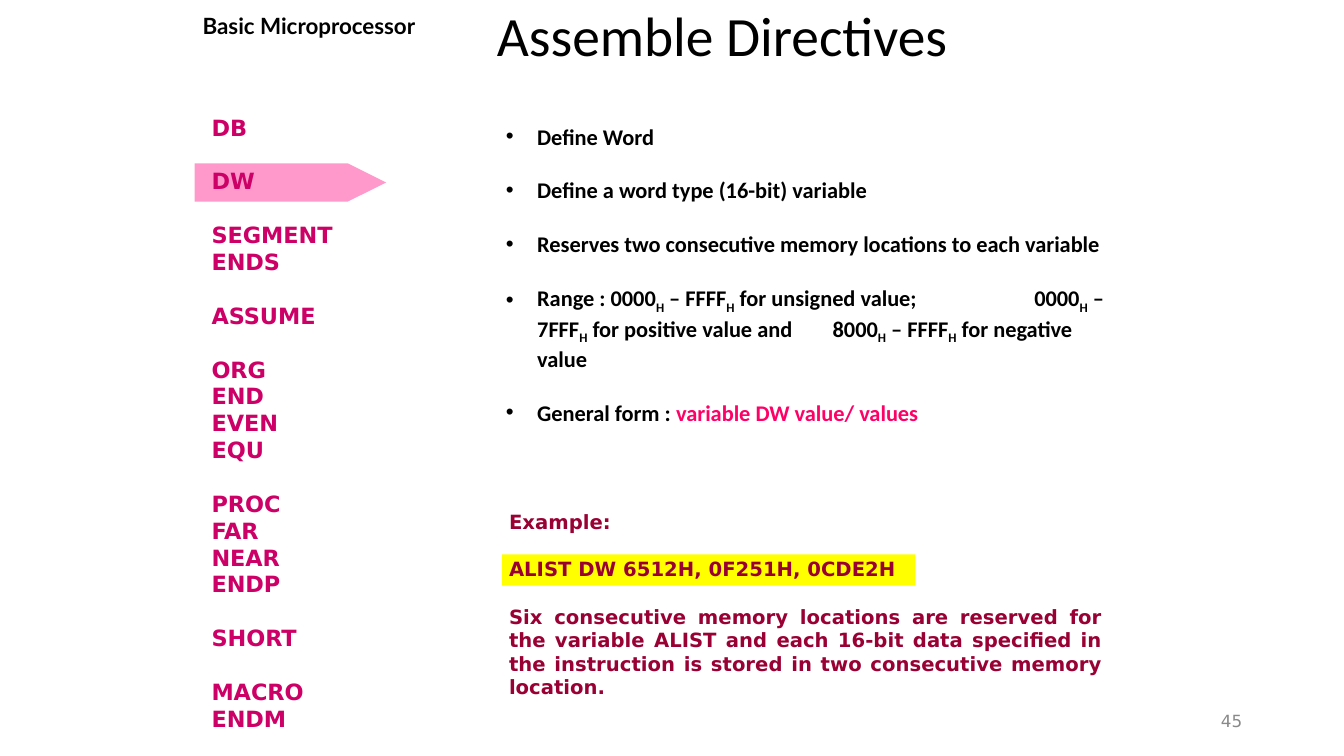
from dataclasses import dataclass

from lxml import etree
from pptx import Presentation
from pptx.dml.color import RGBColor
from pptx.enum.shapes import MSO_SHAPE
from pptx.enum.text import MSO_ANCHOR, PP_ALIGN
from pptx.oxml.ns import qn
from pptx.util import Pt

RECTANGLE = MSO_SHAPE.RECTANGLE
POINTER = MSO_SHAPE.FLOWCHART_OFFPAGE_CONNECTOR
TOP, MIDDLE = MSO_ANCHOR.TOP, MSO_ANCHOR.MIDDLE
LEFT, CENTER, RIGHT, JUSTIFY = PP_ALIGN.LEFT, PP_ALIGN.CENTER, PP_ALIGN.RIGHT, PP_ALIGN.JUSTIFY

EMU_PER_PX = 9144  # 100 px to the inch
HANGING_INDENT = 31
RANGE_TABS = (524, 324)
COLORS = {
    "black": "000000", "grey": "898989", "yellow": "FFFF00", "pink": "FF99CC",
    "hot_pink": "FF0066", "magenta": "CC0066", "maroon": "990033",
}


@dataclass(frozen=True)
class Box:
    left: int
    top: int
    width: int
    height: int


@dataclass(frozen=True)
class Marker:
    preset: MSO_SHAPE
    box: Box
    color: str
    rotation: int = 0


@dataclass(frozen=True)
class Run:
    text: str
    color: str | None = None
    subscript: bool = False


@dataclass(frozen=True)
class Line:
    runs: tuple[Run, ...]
    gap: float = 0
    tabs: tuple[int, ...] = ()


@dataclass(frozen=True)
class TextBlock:
    box: Box
    lines: tuple[Line, ...]
    font: str
    size: float
    color: str
    bold: bool = True
    align: PP_ALIGN = LEFT
    anchor: MSO_ANCHOR = TOP
    bulleted: bool = False
    line_spacing: float | None = None


def px(length: int) -> int:
    return length * EMU_PER_PX


def place(box: Box) -> tuple[int, ...]:
    return tuple(px(length) for length in (box.left, box.top, box.width, box.height))


def plain(text: str, gap: float = 0) -> Line:
    return Line((Run(text),), gap)


def spaced(texts: tuple[str, ...], gap: float) -> tuple[Line, ...]:
    """Make one line of each text, with a gap above all but the first."""
    return tuple(plain(text, gap if index else 0) for index, text in enumerate(texts))


def grouped(groups: tuple[str, ...], gap: float) -> tuple[Line, ...]:
    """Make one line of each word, with a gap above every group but the first."""
    return tuple(
        plain(word, gap if row and not index else 0)
        for row, group in enumerate(groups)
        for index, word in enumerate(group.split())
    )


def with_subscripts(text: str) -> tuple[Run, ...]:
    """Split at underscores, each of which is followed by one lowered letter."""
    first, *rest = text.split("_")
    runs = [Run(first)]
    for part in rest:
        runs += [Run(part[0], subscript=True), Run(part[1:])]
    return tuple(runs)


def add_marker(slide, marker: Marker) -> None:
    shape = slide.shapes.add_shape(marker.preset, *place(marker.box))
    shape.rotation = marker.rotation
    shape.shadow.inherit = False
    shape.fill.solid()
    shape.fill.fore_color.rgb = RGBColor.from_string(COLORS[marker.color])
    shape.line.fill.background()


def add_bullet(paragraph) -> None:
    properties = paragraph._p.get_or_add_pPr()
    properties.set("marL", str(px(HANGING_INDENT)))
    properties.set("indent", str(-px(HANGING_INDENT)))
    etree.SubElement(properties, qn("a:buFont"), typeface="Arial")
    etree.SubElement(properties, qn("a:buChar"), char="•")


def add_tabs(paragraph, stops: tuple[int, ...]) -> None:
    tab_list = etree.SubElement(paragraph._p.get_or_add_pPr(), qn("a:tabLst"))
    for stop in sorted(stops):
        etree.SubElement(tab_list, qn("a:tab"), pos=str(px(stop)), algn="l")


def add_run(paragraph, block: TextBlock, content: Run) -> None:
    run = paragraph.add_run()
    run.text = content.text
    font_format = {"name": block.font, "size": Pt(block.size), "bold": block.bold}
    for name, value in font_format.items():
        setattr(run.font, name, value)
    run.font.color.rgb = RGBColor.from_string(COLORS[content.color or block.color])
    if content.subscript:
        run.font._element.set("baseline", "-25000")


def add_text(slide, block: TextBlock) -> None:
    frame = slide.shapes.add_textbox(*place(block.box)).text_frame
    frame.word_wrap = True
    frame.vertical_anchor = block.anchor
    for index, line in enumerate(block.lines):
        paragraph = frame.add_paragraph() if index else frame.paragraphs[0]
        paragraph_format = {
            "alignment": block.align,
            "line_spacing": block.line_spacing,
            "space_before": Pt(line.gap),
        }
        for name, value in paragraph_format.items():
            setattr(paragraph, name, value)
        if block.bulleted:
            add_bullet(paragraph)
        if line.tabs:
            add_tabs(paragraph, line.tabs)
        for content in line.runs:
            add_run(paragraph, block, content)


MARKERS = (
    Marker(RECTANGLE, Box(498, 550, 410, 31), "yellow"),
    Marker(POINTER, Box(269, 86, 38, 190), "pink", rotation=270),
)

DIRECTIVES = grouped(
    ("DB", "DW", "SEGMENT ENDS", "ASSUME", "ORG END EVEN EQU",
     "PROC FAR NEAR ENDP", "SHORT", "MACRO ENDM"), gap=19.2)

DEFINITION = spaced(
    ("Define Word", "Define a word type (16-bit) variable",
     "Reserves two consecutive memory locations to each variable"), gap=19.2) + (
    Line(with_subscripts(
        "Range : 0000_H – FFFF_H for unsigned value;\t0000_H – 7FFF_H for positive value and"
        "\t8000_H – FFFF_H for negative value"), gap=19.2, tabs=RANGE_TABS),
    Line((Run("General form : "), Run("variable DW value/ values", "hot_pink")), gap=19.2),
)

EXAMPLE = spaced(
    ("Example:", "ALIST DW 6512H, 0F251H, 0CDE2H",
     "Six consecutive memory locations are reserved for the variable ALIST and each 16-bit "
     "data specified in the instruction is stored in two consecutive memory location."), gap=17)

TEXT_BLOCKS = (
    TextBlock(Box(483, 12, 658, 53), (plain("Assemble Directives"),), "Calibri", 39.6, "black",
              bold=False, anchor=MIDDLE, line_spacing=0.9),
    TextBlock(Box(942, 695, 300, 40), (plain("45"),), "DejaVu Sans", 12, "grey",
              bold=False, align=RIGHT, anchor=MIDDLE),
    TextBlock(Box(173, 7, 267, 37), (plain("Basic Microprocessor"),), "Lato", 16, "black",
              align=CENTER),
    TextBlock(Box(492, 117, 617, 333), DEFINITION, "Calibri", 16, "black", bulleted=True),
    TextBlock(Box(495, 501, 608, 199), EXAMPLE, "DejaVu Sans", 14, "maroon", align=JUSTIFY),
    TextBlock(Box(200, 108, 163, 629), DIRECTIVES, "DejaVu Sans", 16, "magenta"),
)


def main() -> None:
    presentation = Presentation()
    presentation.slide_width, presentation.slide_height = px(1333), px(750)
    slide = presentation.slides.add_slide(presentation.slide_layouts[6])
    for marker in MARKERS:
        add_marker(slide, marker)
    for block in TEXT_BLOCKS:
        add_text(slide, block)
    presentation.save("out.pptx")


if __name__ == "__main__":
    main()
